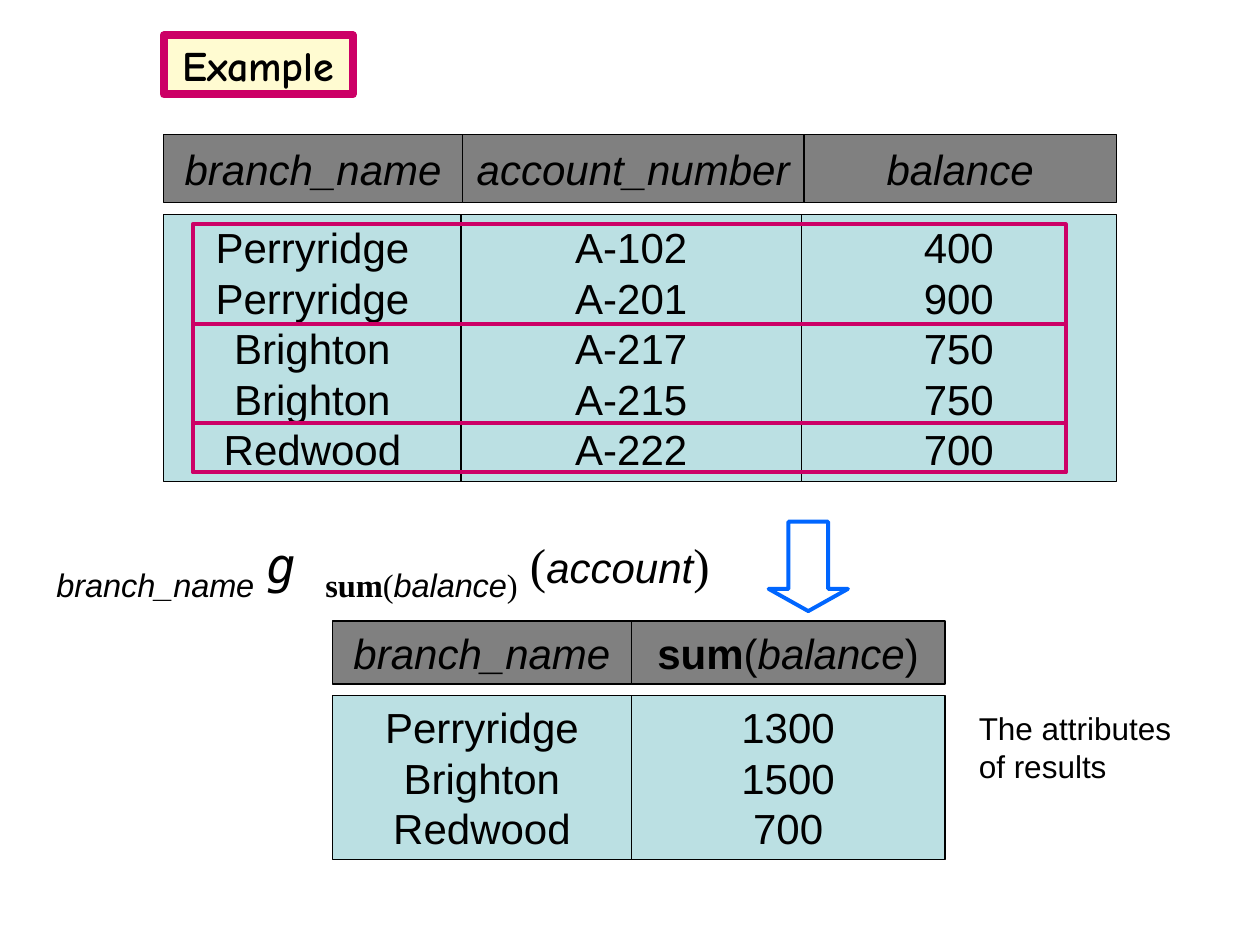
from pptx import Presentation
from pptx.dml.color import RGBColor
from pptx.enum.shapes import MSO_SHAPE as Shape
from pptx.enum.text import MSO_ANCHOR as Anchor, PP_ALIGN as Align
from pptx.util import Inches, Pt

COLORS = {
    "black": "000000",
    "white": "FFFFFF",
    "header": "808080",
    "body": "BBE0E3",
    "cream": "FFFBD1",
    "magenta": "CC0066",
    "blue": "0066FF",
}
SERIF = "Times New Roman"


def color(name):
    return RGBColor.from_string(COLORS[name])


def add_text(paragraph, text, size=24, font="Arial", bold=False, italic=False, baseline=0):
    run = paragraph.add_run()
    run.text = text
    run.font.size = Pt(size)
    run.font.name = font
    run.font.bold = bold
    run.font.italic = italic
    run.font.color.rgb = color("black")
    if baseline:
        run._r.get_or_add_rPr().set("baseline", str(baseline * 1000))


class SlideBuilder:
    """Holds the slide and draws its boxes, table bands, arrow and text."""

    def __init__(self, slide):
        self.slide = slide

    def box(self, left, top, width, height, fill=None, line="black", weight=0.75,
            preset=Shape.RECTANGLE, shapes=None):
        target = self.slide.shapes if shapes is None else shapes
        shape = target.add_shape(
            preset, Inches(left), Inches(top), Inches(width), Inches(height))
        shape.shadow.inherit = False
        if fill:
            shape.fill.solid()
            shape.fill.fore_color.rgb = color(fill)
        else:
            shape.fill.background()
        shape.line.color.rgb = color(line)
        shape.line.width = Pt(weight)
        return shape

    def label(self, shape, lines):
        frame = shape.text_frame
        frame.word_wrap = False
        frame.vertical_anchor = Anchor.MIDDLE
        for index, runs in enumerate(lines):
            paragraph = frame.add_paragraph() if index else frame.paragraphs[0]
            paragraph.alignment = Align.CENTER
            for text, style in runs:
                add_text(paragraph, text, **style)

    def band(self, top, height, edges, fill, columns):
        group = self.slide.shapes.add_group_shape()
        for left, right, lines in zip(edges, edges[1:], columns):
            cell = self.box(left, top, right - left, height, fill, shapes=group.shapes)
            self.label(cell, lines)

    def header(self, top, height, edges, names):
        self.band(top, height, edges, "header", [[runs] for runs in names])

    def body(self, top, height, edges, rows):
        columns = [[[(value, {})] for value in column] for column in zip(*rows)]
        self.band(top, height, edges, "body", columns)

    def down_arrow(self, left, top, width, height):
        arrow = self.box(left, top, width, height, "white", "blue", 2.25, Shape.RIGHT_ARROW)
        arrow.adjustments[0] = 0.5
        arrow.adjustments[1] = 0.28
        arrow.rotation = 90

    def text(self, left, top, width, height, runs):
        textbox = self.slide.shapes.add_textbox(
            Inches(left), Inches(top), Inches(width), Inches(height))
        textbox.text_frame.word_wrap = True
        for text, style in runs:
            add_text(textbox.text_frame.paragraphs[0], text, **style)


def main():
    prs = Presentation()
    prs.slide_width, prs.slide_height = Inches(10), Inches(7.5)
    builder = SlideBuilder(prs.slides.add_slide(prs.slide_layouts[6]))

    italic = {"italic": True}
    subscript = {"size": 32, "baseline": -25}
    serif_subscript = {**subscript, "font": SERIF}
    serif = {"size": 28, "font": SERIF}

    title = builder.box(1.3, 0.28, 1.5, 0.47, "cream", "magenta", 4.5)
    builder.label(title, [[("Example", {"font": "Comic Neue", "bold": True})]])

    account_names = ["branch_name", "account_number", "balance"]
    accounts = [
        ("Perryridge", "A-102", "400"),
        ("Perryridge", "A-201", "900"),
        ("Brighton", "A-217", "750"),
        ("Brighton", "A-215", "750"),
        ("Redwood", "A-222", "700"),
    ]
    builder.header(1.07, 0.54, [1.3, 3.67, 6.38, 8.86],
                   [[(name, italic)] for name in account_names])
    builder.body(1.7, 2.12, [1.3, 3.66, 6.36, 8.86], accounts)

    sum_edges = [2.64, 5.01, 7.5]
    sum_name = [("sum", {"bold": True}), ("(", {}), ("balance", italic), (")", {})]
    branch_sums = [("Perryridge", "1300"), ("Brighton", "1500"), ("Redwood", "700")]
    builder.header(4.93, 0.5, sum_edges, [[("branch_name", italic)], sum_name])
    builder.body(5.52, 1.3, sum_edges, branch_sums)

    builder.down_arrow(6.06, 4.18, 0.71, 0.63)

    builder.text(0.35, 4.14, 5.94, 0.64, [
        ("branch_name", {**subscript, **italic}),
        (" ", serif),
        ("g ", {"size": 28, "font": "DejaVu Sans Mono", **italic}),
        ("sum", {**serif_subscript, "bold": True}),
        ("(", serif_subscript),
        ("balance", {**subscript, **italic}),
        (")", serif_subscript),
        (" (", serif),
        ("account", italic),
        (")", serif),
    ])

    group_top = 1.78
    for group_height in (0.79, 0.79, 0.39):
        builder.box(1.53, group_top, 6.93, group_height, line="magenta", weight=2.25)
        group_top += group_height

    builder.text(7.67, 5.58, 1.83, 0.7, [("The attributes of results", {"size": 18})])

    prs.save("out.pptx")


if __name__ == "__main__":
    main()
